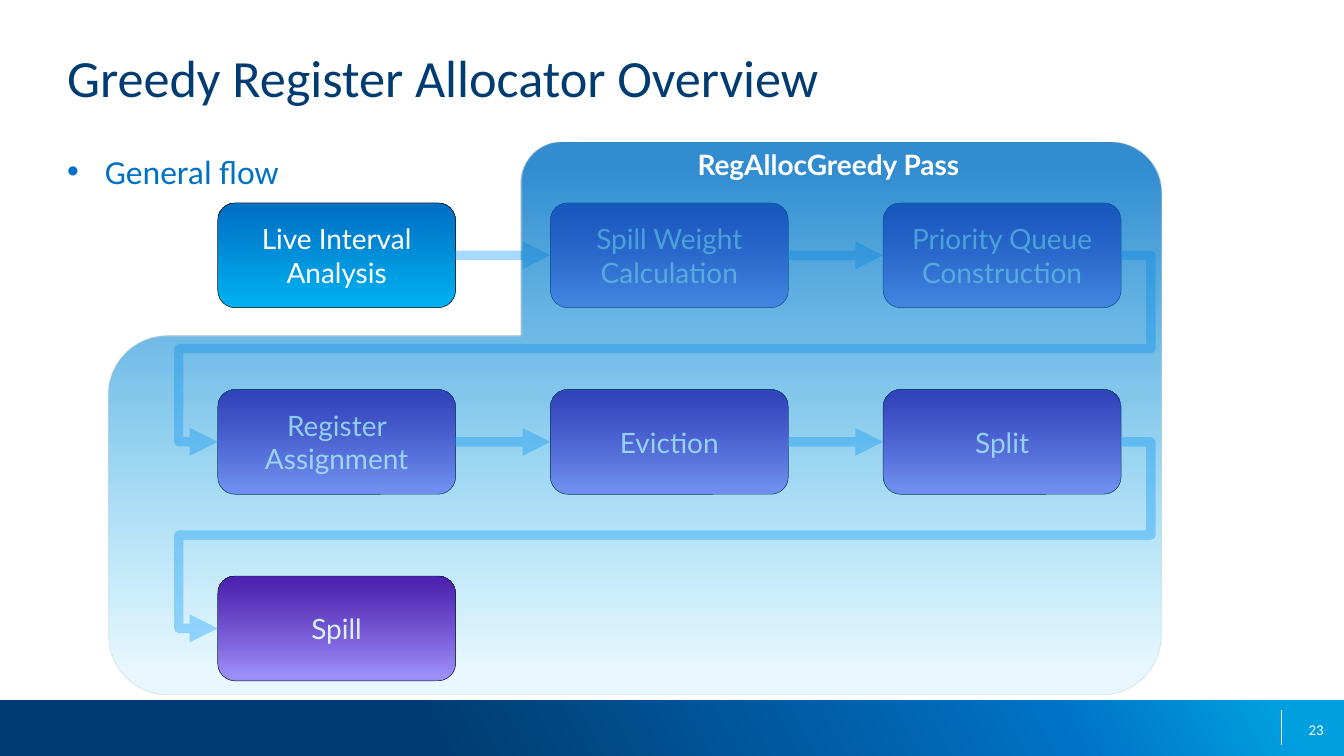
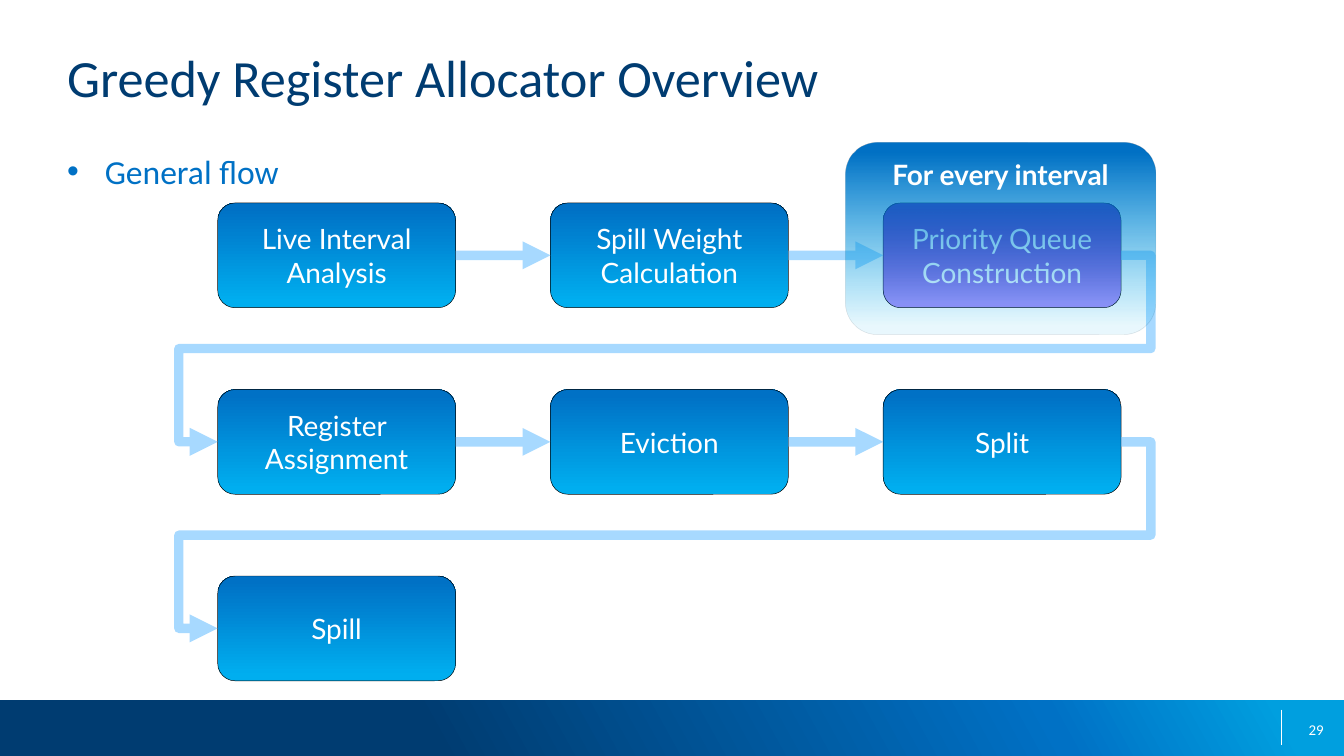
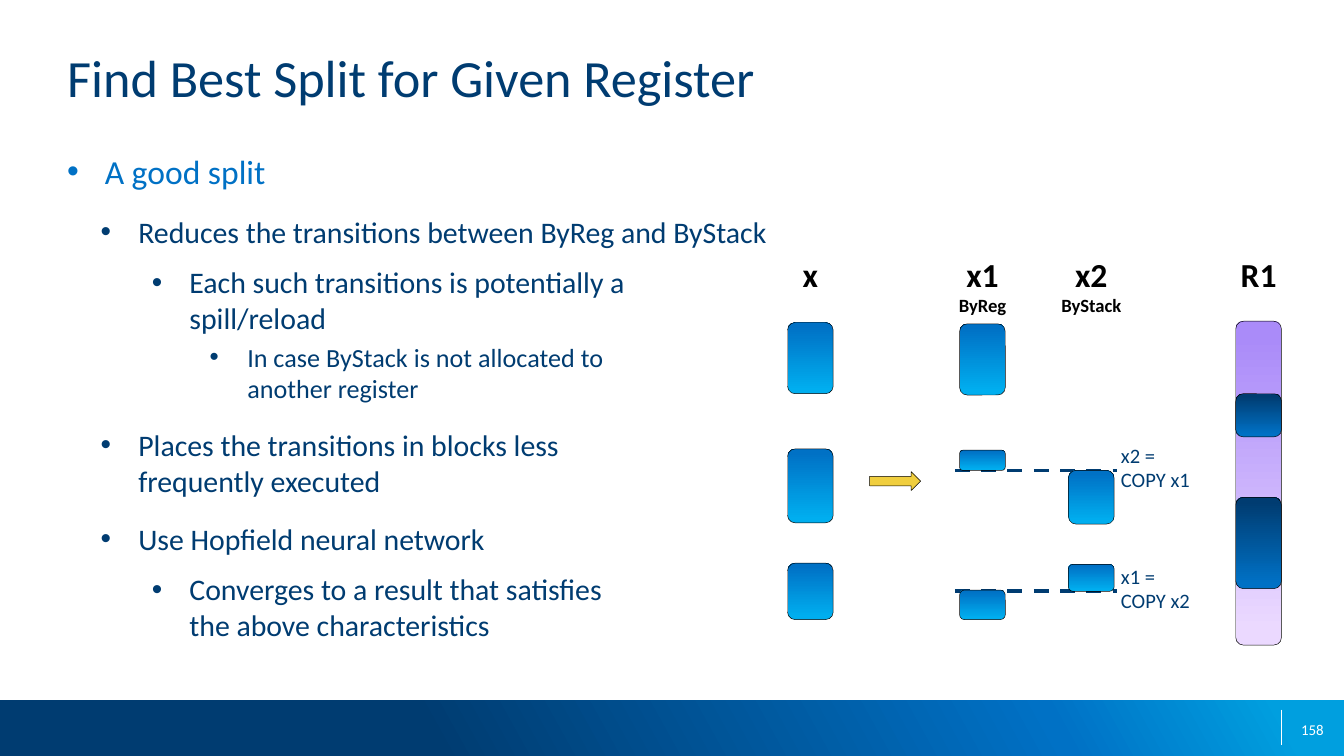
from dataclasses import dataclass
from math import cos, radians, sin
from typing import NamedTuple

from lxml.etree import SubElement
from pptx import Presentation
from pptx.dml.color import RGBColor
from pptx.enum.dml import MSO_LINE
from pptx.enum.shapes import MSO_CONNECTOR, MSO_SHAPE
from pptx.enum.text import MSO_ANCHOR, PP_ALIGN
from pptx.oxml.ns import qn
from pptx.util import Emu, Inches, Pt

RECT, ROUND_RECT, ARROW = MSO_SHAPE.RECTANGLE, MSO_SHAPE.ROUNDED_RECTANGLE, MSO_SHAPE.RIGHT_ARROW
STRAIGHT, ELBOW = MSO_CONNECTOR.STRAIGHT, MSO_CONNECTOR.ELBOW
LEFT, CENTER, RIGHT = PP_ALIGN.LEFT, PP_ALIGN.CENTER, PP_ALIGN.RIGHT
TOP, MIDDLE = MSO_ANCHOR.TOP, MSO_ANCHOR.MIDDLE
DASH = MSO_LINE.DASH
LEFT_SIDE, RIGHT_SIDE = 1, 3
TITLE_ONLY = 5

SLIDE_W, SLIDE_H = Inches(10), Inches(5.625)
CELL = SLIDE_W // 100  # the page grid has 100 columns of square cells


class Style(NamedTuple):
    font: str
    size: float
    color: str
    bold: bool = False


class Stop(NamedTuple):
    pos: int
    color: str
    alpha: int = 100


class Gradient(NamedTuple):
    stops: tuple[Stop, ...]
    angle: int = 270


def vertical(bottom: str, top: str, bottom_alpha: int = 100, top_alpha: int = 100) -> Gradient:
    return Gradient((Stop(5, bottom, bottom_alpha), Stop(95, top, top_alpha)))


@dataclass(frozen=True)
class Theme:
    navy: str = "003C71"
    white: str = "FFFFFF"
    black: str = "000000"
    flow: str = "72C3FF"
    gold: str = "F0CE3E"
    band: Gradient = Gradient((Stop(32, "003C71"), Stop(78, "0071C5"), Stop(95, "009FDF")), 331)
    blue: Gradient = vertical("00AEEF", "0071C5")
    purple: Gradient = vertical("AA8BF9", "6401A1")
    lilac: Gradient = vertical("EBD9FF", "AA8BF9")
    dark: Gradient = vertical("0071C5", "003C71")
    pass_veil: Gradient = vertical("00AEEF", "0071C5", 9, 80)
    interval_veil: Gradient = vertical("00AEEF", "0071C5", 9)
    title: Style = Style("Calibri", 28, "003C71")
    page: Style = Style("Calibri", 8, "FFFFFF")
    step: Style = Style("Lato", 15, "FFFFFF")
    veil: Style = Style("Lato", 15, "FFFFFF", True)
    heading: Style = Style("Calibri", 18, "000000", True)
    subheading: Style = Style("Calibri", 10, "000000", True)
    code: Style = Style("Calibri", 11, "003C71")
    bullets: tuple[Style, ...] = (
        Style("Calibri", 18, "0071C5"),
        Style("Calibri", 16, "003C71"),
        Style("Calibri", 16, "003C71"),
        Style("Calibri", 14, "003C71"),
    )


THEME = Theme()
BULLET_INDENTS = (0.28, 0.53, 0.91, 1.34)
BULLET_GAPS = (12, 12, 8, 3)


class Area(NamedTuple):
    """A rectangle in grid columns and rows."""
    col: float
    row: float
    cols: float
    rows: float

    def emu(self) -> list[Emu]:
        return [Emu(round(v * CELL)) for v in self]


class Para(NamedTuple):
    text: str
    style: Style
    bullet: int | None = None


class Step(NamedTuple):
    text: str
    col: int
    row: int


class Block(NamedTuple):
    col: float
    row: float
    rows: float
    fill: Gradient = THEME.blue


TITLE_AREA = Area(5, 3.4, 90, 7.3)
BODY_AREA = Area(5, 11.2, 90, 37.5)
BAND_AREA = Area(0, 52.1, 100, 4.15)
PAGE_AREA = Area(75.2, 52.8, 23.3, 3)

STEP_W, STEP_H = 17.7, 7.8
STEP_LEFT, STEP_TOP = 16.2, 15.1
STEP_DX, STEP_DY = 24.76, 13.88
STEPS = (
    Step("Live Interval Analysis", 0, 0),
    Step("Spill Weight Calculation", 1, 0),
    Step("Priority Queue Construction", 2, 0),
    Step("Register Assignment", 0, 1),
    Step("Eviction", 1, 1),
    Step("Split", 2, 1),
    Step("Spill", 0, 2),
)
WRAP_ADJUST = {"adj1": -3300, "adj2": 50000, "adj3": 104300}

BLOCK_W = 3.4
X_COL, X1_COL, X2_COL, R1_COL = 58.6, 71.4, 79.5, 91.95
BLOCKS = (
    Block(X_COL, 24, 5.3), Block(X_COL, 33.4, 5.5), Block(X_COL, 41.9, 4.2),
    Block(X1_COL, 24.1, 5.3), Block(X1_COL, 33.5, 1.5), Block(X1_COL, 43.9, 2.2),
    Block(X2_COL, 35, 4), Block(X2_COL, 42, 2),
    Block(R1_COL, 23.9, 24.1, THEME.lilac),
    Block(R1_COL, 37, 6.8, THEME.dark), Block(R1_COL, 29.3, 3.2, THEME.dark),
)
HEADINGS = ((X_COL, "x", ""), (X1_COL, "x1", "ByReg"), (X2_COL, "x2", "ByStack"), (R1_COL, "R1", ""))
COPIES = ((35, "x2 =", "COPY x1"), (44, "x1 =", "COPY x2"))
SPLIT_POINTS = (
    (0, "A good split"),
    (1, "Reduces the transitions between ByReg and ByStack"),
    (2, "Each such transitions is potentially a\vspill/reload"),
    (3, "In case ByStack is not allocated to\vanother register"),
    (1, "Places the transitions in blocks less\vfrequently executed"),
    (1, "Use Hopfield neural network"),
    (2, "Converges to a result that satisfies\vthe above characteristics"),
)


def set_all(target, values: dict) -> None:
    for name, value in values.items():
        setattr(target, name, value)


def add_alpha(color, percent: int) -> None:
    if percent < 100:
        SubElement(color, qn("a:alpha"), val=str(percent * 1000))


def set_fill(sp, fill: Gradient | str) -> None:
    if isinstance(fill, str):
        sp.fill.solid()
        sp.fill.fore_color.rgb = RGBColor.from_string(fill)
        return
    sp.fill.gradient()
    grad = sp._element.spPr.find(qn("a:gradFill"))
    grad.clear()
    stops = SubElement(grad, qn("a:gsLst"))
    for stop in fill.stops:
        gs = SubElement(stops, qn("a:gs"), pos=str(stop.pos * 1000))
        add_alpha(SubElement(gs, qn("a:srgbClr"), val=stop.color), stop.alpha)
    SubElement(grad, qn("a:lin"), ang=str(fill.angle * 60000), scaled="0")


def set_line(sp, color: str, width: float, alpha: int = 100) -> None:
    sp.line.color.rgb = RGBColor.from_string(color)
    sp.line.width = Pt(width)
    add_alpha(next(sp.line._ln.iter(qn("a:srgbClr"))), alpha)


def write(tf, paras: list[Para], align=LEFT, anchor=TOP, wrap: bool = True,
          insets: tuple[float, ...] = (0, 0, 0, 0)) -> None:
    left, top, right, bottom = (Inches(v) for v in insets)
    set_all(tf, {"word_wrap": wrap, "vertical_anchor": anchor, "margin_left": left,
                 "margin_top": top, "margin_right": right, "margin_bottom": bottom})
    for i, para in enumerate(paras):
        p = tf.add_paragraph() if i else tf.paragraphs[0]
        p.text = para.text
        p.alignment = align
        if para.bullet is not None:
            set_bullet(p, para.bullet, first=i == 0)
        style = para.style
        for r in p.runs:
            set_all(r.font, {"name": style.font, "size": Pt(style.size), "bold": style.bold})
            r.font.color.rgb = RGBColor.from_string(style.color)
        for br in p._p.findall(qn("a:br")):
            SubElement(br, qn("a:rPr"), sz=str(style.size * 100))


def set_bullet(p, level: int, first: bool) -> None:
    p.level = level
    p.space_before = Pt(0 if first else BULLET_GAPS[level])
    pPr = p._p.get_or_add_pPr()
    pPr.set("marL", str(Inches(BULLET_INDENTS[level])))
    pPr.set("indent", str(-Inches(BULLET_INDENTS[0])))
    SubElement(pPr, qn("a:buFont"), typeface="Arial")
    SubElement(pPr, qn("a:buChar"), char="•")


def add_text(slide, area: Area, paras: list[Para], align=LEFT, anchor=TOP) -> None:
    write(slide.shapes.add_textbox(*area.emu()).text_frame, paras, align, anchor)


def add_box(slide, kind, area: Area, fill: Gradient | str, outlined: bool = True):
    sp = slide.shapes.add_shape(kind, *area.emu())
    sp.shadow.inherit = False
    set_fill(sp, fill)
    if outlined:
        set_line(sp, THEME.black, 0.25)
    else:
        sp.line.fill.background()
    return sp


def add_line(slide, start: tuple, end: tuple, color: str, width: float, kind=STRAIGHT,
             alpha: int = 100, arrow: bool = False):
    points = [Emu(round(v * CELL)) for v in (*start, *end)]
    line = slide.shapes.add_connector(kind, *points)
    set_line(line, color, width, alpha)
    if arrow:
        SubElement(line.line._ln, qn("a:tailEnd"), type="triangle")
    SubElement(line._element.spPr, qn("a:effectLst"))
    return line


def add_page(prs, title: str, number: int):
    """Add a slide with its title, bottom band and page number."""
    slide = prs.slides.add_slide(prs.slide_layouts[TITLE_ONLY])
    add_box(slide, RECT, BAND_AREA, THEME.band, outlined=False)
    add_line(slide, (95.35, 52.8), (95.35, 55.4), THEME.white, 0.75)
    add_text(slide, PAGE_AREA, [Para(str(number), THEME.page)], RIGHT, MIDDLE)
    sp = slide.shapes.title
    set_all(sp, dict(zip(("left", "top", "width", "height"), TITLE_AREA.emu())))
    write(sp.text_frame, [Para(title, THEME.title)])
    return slide


def add_flow(slide, purple_steps: set[str]) -> None:
    boxes = []
    for step in STEPS:
        area = Area(STEP_LEFT + step.col * STEP_DX, STEP_TOP + step.row * STEP_DY, STEP_W, STEP_H)
        fill = THEME.purple if step.text in purple_steps else THEME.blue
        sp = add_box(slide, ROUND_RECT, area, fill)
        write(sp.text_frame, [Para(step.text, THEME.step)], CENTER, MIDDLE,
              insets=(0.07, 0.04, 0.07, 0.04))
        boxes.append((step, area, sp))
    for (step, a, sp), (following, b, next_sp) in zip(boxes, boxes[1:]):
        same_row = step.row == following.row
        line = add_line(slide, (a.col + a.cols, a.row + a.rows / 2), (b.col, b.row + b.rows / 2),
                        THEME.flow, 5, STRAIGHT if same_row else ELBOW, alpha=62, arrow=True)
        if same_row:
            line.begin_connect(sp, RIGHT_SIDE)
            line.end_connect(next_sp, LEFT_SIDE)
        else:
            wrap_around(line)


def wrap_around(line) -> None:
    """Route an elbow out to the right, back between two rows and in from the left."""
    geom = line._element.spPr.find(qn("a:prstGeom"))
    geom.clear()
    geom.set("prst", "bentConnector5")
    guides = SubElement(geom, qn("a:avLst"))
    for name, value in WRAP_ADJUST.items():
        SubElement(guides, qn("a:gd"), name=name, fmla=f"val {value}")


def corner(col: float, row: float, radius: float, start: int) -> list[tuple[float, float]]:
    """Points of a clockwise quarter circle around a centre."""
    angles = [radians(start + 90 * i / 12) for i in range(13)]
    return [(col + radius * cos(a), row + radius * sin(a)) for a in angles]


def add_pass_outline(slide):
    left, top, right, bottom = 8.1, 10.6, 86.4, 51.7
    notch_col, notch_row = 38.8, 25
    small, medium, large = 3, 3.8, 4.4
    points = [
        *corner(right - medium, top + medium, medium, 270),
        *corner(right - large, bottom - large, large, 0),
        *corner(left + large, bottom - large, large, 90),
        *corner(left + large, notch_row + large, large, 180),
        (notch_col, notch_row),
        *corner(notch_col + small, top + small, small, 180),
    ]
    emu = [(round(x * CELL), round(y * CELL)) for x, y in points]
    builder = slide.shapes.build_freeform(*emu[0])
    builder.add_line_segments(emu[1:], close=True)
    sp = builder.convert_to_shape()
    sp.shadow.inherit = False
    set_fill(sp, THEME.pass_veil)
    return sp


def label_veil(sp, text: str, inset_left: float, wrap: bool) -> None:
    set_line(sp, THEME.black, 0.25, alpha=10)
    write(sp.text_frame, [Para(text, THEME.veil)], CENTER, wrap=wrap,
          insets=(inset_left, 0.04, 0.07, 0.04))


def add_overview(prs, number: int, purple_steps: set[str]):
    slide = add_page(prs, "Greedy Register Allocator Overview", number)
    add_text(slide, BODY_AREA, [Para("General flow", THEME.bullets[0], 0)])
    add_flow(slide, purple_steps)
    return slide


def add_pass_slide(prs) -> None:
    slide = add_overview(prs, 23, {step.text for step in STEPS[1:]})
    label_veil(add_pass_outline(slide), "RegAllocGreedy Pass", 2.95, wrap=True)


def add_interval_slide(prs) -> None:
    slide = add_overview(prs, 29, {"Priority Queue Construction"})
    sp = add_box(slide, ROUND_RECT, Area(62.9, 10.6, 23.1, 14.3), THEME.interval_veil, outlined=False)
    label_veil(sp, "For every interval", 0.07, wrap=False)


def add_split_slide(prs) -> None:
    slide = add_page(prs, "Find Best Split for Given Register", 158)
    add_text(slide, BODY_AREA,
             [Para(text, THEME.bullets[level], level) for level, text in SPLIT_POINTS])
    for row, *code in COPIES:
        add_line(slide, (71.05, row), (83.1, row), THEME.navy, 2).line.dash_style = DASH
        add_text(slide, Area(83.4, row - 2.05, 11.3, 3.7), [Para(t, THEME.code) for t in code])
    for block in BLOCKS:
        add_box(slide, ROUND_RECT, Area(block.col, block.row, BLOCK_W, block.rows), block.fill)
    for col, name, place in HEADINGS:
        paras = [Para(name, THEME.heading)]
        if place:
            paras.append(Para(place, THEME.subheading))
        width = 6.2 if place else 3.9
        area = Area(col + (BLOCK_W - width) / 2, 18.9, width, 4.7 if place else 3)
        add_text(slide, area, paras, CENTER)
    add_box(slide, ARROW, Area(64.7, 35.1, 3.8, 1.4), THEME.gold)


def main() -> None:
    prs = Presentation()
    set_all(prs, {"slide_width": SLIDE_W, "slide_height": SLIDE_H})
    add_pass_slide(prs)
    add_interval_slide(prs)
    add_split_slide(prs)
    prs.save("out.pptx")


if __name__ == "__main__":
    main()
